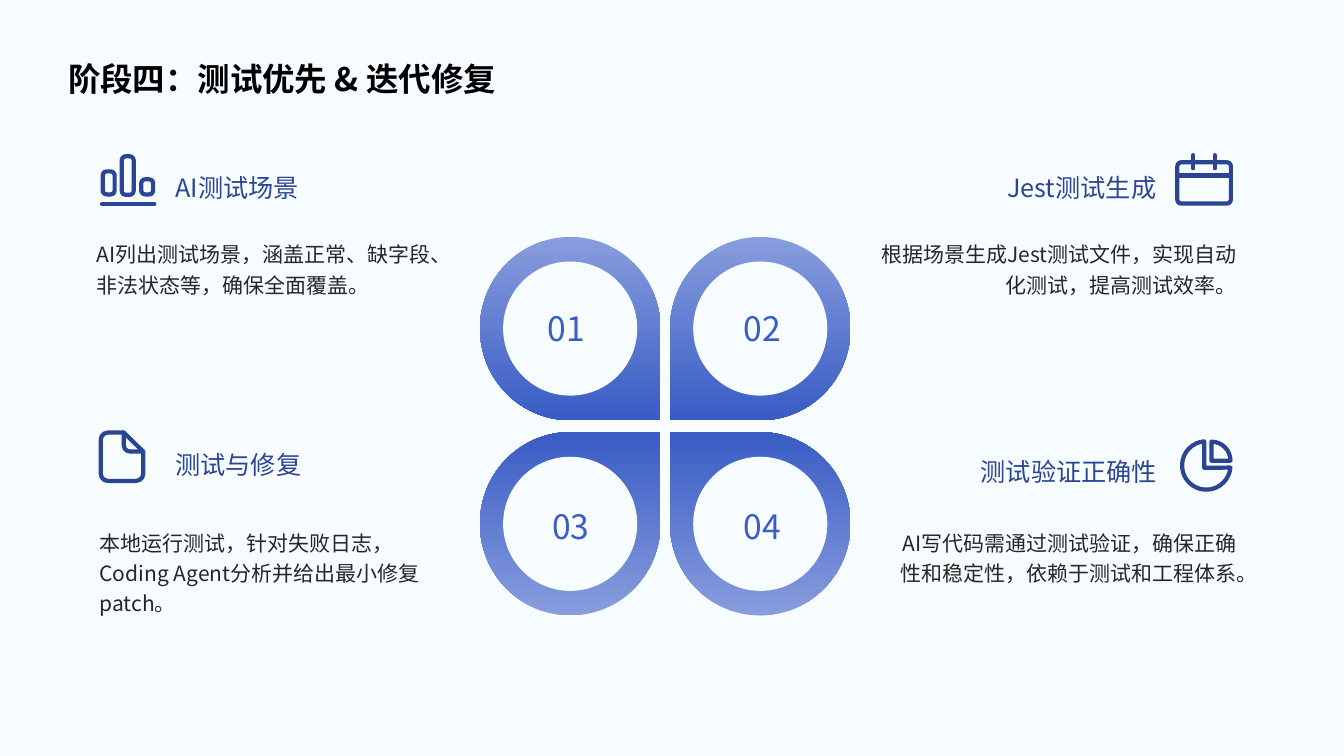
import math

import pptx
import pptx.dml.color
import pptx.enum.shapes
import pptx.enum.text
import pptx.util
from lxml import etree

Cm = pptx.util.Cm
RGB = pptx.dml.color.RGBColor
SHAPE = pptx.enum.shapes.MSO_SHAPE
ALIGN = pptx.enum.text.PP_ALIGN
ANCHOR = pptx.enum.text.MSO_ANCHOR

FONT = "Noto Sans CJK SC"
PAPER = RGB(0xF6, 0xFC, 0xFF)
NAVY = RGB(0x2B, 0x45, 0x94)
BLUE = RGB(0x39, 0x5C, 0xC5)
PALE_BLUE = RGB(0x88, 0x9D, 0xDD)
INK = RGB(0x26, 0x26, 0x26)
BLACK = RGB(0, 0, 0)


def arc(cx, cy, radius, start, end, steps=3):
    """Points of an arc; degrees run clockwise from the right."""
    angles = [math.radians(start + (end - start) * i / steps) for i in range(steps + 1)]
    return [(cx + radius * math.cos(a), cy + radius * math.sin(a)) for a in angles]


# Content; boxes are left, top, width, height in cm
TITLE = "阶段四：测试优先 & 迭代修复"
CARDS = [
    dict(number="01", number_box=(13.26, 7.34, 2.03, 1.65), petal_turn=90,
         heading="AI测试场景", heading_box=(4.42, 4.01, 6.48, 1.22),
         body="AI列出测试场景，涵盖正常、缺字段、非法状态等，确保全面覆盖。",
         body_box=(2.44, 5.97, 8.97, 4.14)),
    dict(number="02", number_box=(18.08, 7.34, 2.26, 1.65), petal_turn=180,
         heading="Jest测试生成", heading_box=(21.44, 3.99, 7.7, 1.22),
         body="根据场景生成Jest测试文件，实现自动化测试，提高测试效率。",
         body_box=(22.2, 5.97, 8.97, 4.62)),
    dict(number="03", number_box=(13.26, 12.34, 2.26, 1.65), petal_turn=0,
         heading="测试与修复", heading_box=(4.42, 10.97, 6.48, 1.22),
         body="本地运行测试，针对失败日志，Coding Agent分析并给出最小修复patch。",
         body_box=(2.51, 13.23, 8.86, 4.14)),
    dict(number="04", number_box=(18.08, 12.34, 2.26, 1.65), petal_turn=270,
         heading="测试验证正确性", heading_box=(23.22, 11.4, 5.94, 0.94), heading_spacing=1.04,
         body="AI写代码需通过测试验证，确保正确性和稳定性，依赖于测试和工程体系。",
         body_box=(22.3, 13.23, 8.86, 4.14)),
]

# Icons: rounded frames, straight lines, and outlines with a closed flag
ICON_FRAMES = [
    (2.59, 4.32, 0.3, 0.58), (3.07, 3.94, 0.3, 0.97), (3.56, 4.52, 0.3, 0.38),  # bars
    (29.67, 4.09, 1.35, 1.04),  # calendar
]
ICON_LINES = [
    (2.57, 5.14, 3.89, 5.14),  # baseline of the bars
    (29.67, 4.42, 31.02, 4.42),  # calendar header and rings
    (30.07, 3.91, 30.07, 4.24),
    (30.61, 3.91, 30.61, 4.24),
]
ICON_OUTLINES = [
    (arc(2.72, 11.08, 0.18, 270, 180) + arc(2.72, 11.94, 0.18, 180, 90)
     + arc(3.43, 11.94, 0.18, 90, 0) + [(3.61, 11.38), (3.12, 10.9)], True),  # page
    ([(3.12, 10.9)] + arc(3.28, 11.22, 0.16, 180, 90) + [(3.61, 11.38)], False),  # fold
    (arc(30.4, 11.73, 0.61, 5, 265, 26) + [(30.35, 11.79)], True),  # pie
    (arc(30.53, 11.61, 0.48, 270, 360, 8) + [(30.53, 11.61)], True),  # pie slice
]

# Petals around the middle of the slide
PETAL_WIDTH, PETAL_HEIGHT = 4.55, 4.62
PETAL_CENTERS_X = (14.37, 19.16)
PETAL_CENTERS_Y = (8.28, 13.2)
DISC = 3.38

deck = pptx.Presentation()
deck.slide_width, deck.slide_height = Cm(33.87), Cm(19.05)
slide = deck.slides.add_slide(deck.slide_layouts[6])
slide.background.fill.solid()
slide.background.fill.fore_color.rgb = PAPER


def add_text(text, box, size, color, align=ALIGN.LEFT, spacing=1.2, bold=False,
             anchor=ANCHOR.MIDDLE, wrap=True, inset=True):
    holder = slide.shapes.add_textbox(*map(Cm, box))
    frame = holder.text_frame
    frame.word_wrap, frame.vertical_anchor = wrap, anchor
    if not inset:
        frame.margin_left = frame.margin_right = frame.margin_top = frame.margin_bottom = 0
    paragraph = frame.paragraphs[0]
    paragraph.alignment, paragraph.line_spacing = align, spacing
    run = paragraph.add_run()
    run.text = text
    run.font.name, run.font.size = FONT, pptx.util.Pt(size)
    run.font.bold, run.font.color.rgb = bold, color
    east_asian = etree.SubElement(run.font._element, pptx.oxml.ns.qn("a:ea"))
    east_asian.set("typeface", FONT)


def add_centered(kind, cx, cy, width, height):
    part = slide.shapes.add_shape(kind, Cm(cx - width / 2), Cm(cy - height / 2),
                                  Cm(width), Cm(height))
    part.shadow.inherit = False
    part.line.fill.background()
    return part


def ink_icon(part):
    part.line.color.rgb = NAVY
    part.line.width = pptx.util.Pt(3)
    stroke = part.line._get_or_add_ln()
    stroke.set("cap", "rnd")
    etree.SubElement(stroke, pptx.oxml.ns.qn("a:round"))


# Title
add_text(TITLE, (1.47, 1.09, 30.48, 1.57), 23.2, BLACK, bold=True)

# Petals, numbers, headings and bodies
for i, card in enumerate(CARDS):
    row, column = divmod(i, 2)
    cx, cy = PETAL_CENTERS_X[column], PETAL_CENTERS_Y[row]
    turn = card["petal_turn"]
    sideways = turn in (90, 270)
    size = (PETAL_HEIGHT, PETAL_WIDTH) if sideways else (PETAL_WIDTH, PETAL_HEIGHT)
    petal = add_centered(SHAPE.TEAR, cx, cy, *size)
    petal.rotation = turn
    petal.fill.gradient()
    petal.fill.gradient_angle = 0 if sideways else 90  # pale at the outer edge
    for position, (stop, shade) in enumerate(zip(petal.fill.gradient_stops,
                                                 (PALE_BLUE, BLUE))):
        stop.position, stop.color.rgb = position, shade

    disc = add_centered(SHAPE.OVAL, cx, cy, DISC, DISC)
    disc.fill.solid()
    disc.fill.fore_color.rgb = PAPER

    side = ALIGN.RIGHT if column else ALIGN.LEFT
    add_text(card["number"], card["number_box"], 24, BLUE, align=ALIGN.CENTER, wrap=False)
    add_text(card["heading"], card["heading_box"], 18, NAVY, align=side,
             spacing=card.get("heading_spacing", 1.3), inset=False)
    add_text(card["body"], card["body_box"], 15, INK, align=side,
             anchor=ANCHOR.TOP, inset=False)

# Icons
for left, top, width, height in ICON_FRAMES:
    icon_frame = add_centered(SHAPE.ROUNDED_RECTANGLE, left + width / 2, top + height / 2,
                              width, height)
    icon_frame.adjustments[0] = 0.1 / min(width, height)
    icon_frame.fill.background()
    ink_icon(icon_frame)
for ends in ICON_LINES:
    icon_line = slide.shapes.add_connector(pptx.enum.shapes.MSO_CONNECTOR.STRAIGHT,
                                           *map(Cm, ends))
    ink_icon(icon_line)
    etree.SubElement(icon_line._element.spPr, pptx.oxml.ns.qn("a:effectLst"))
for points, closed in ICON_OUTLINES:
    start, *rest = [(Cm(x), Cm(y)) for x, y in points]
    builder = slide.shapes.build_freeform(*start)
    builder.add_line_segments(rest, close=closed)
    icon_outline = builder.convert_to_shape()
    icon_outline.shadow.inherit = False
    icon_outline.fill.background()
    ink_icon(icon_outline)

deck.save("out.pptx")
